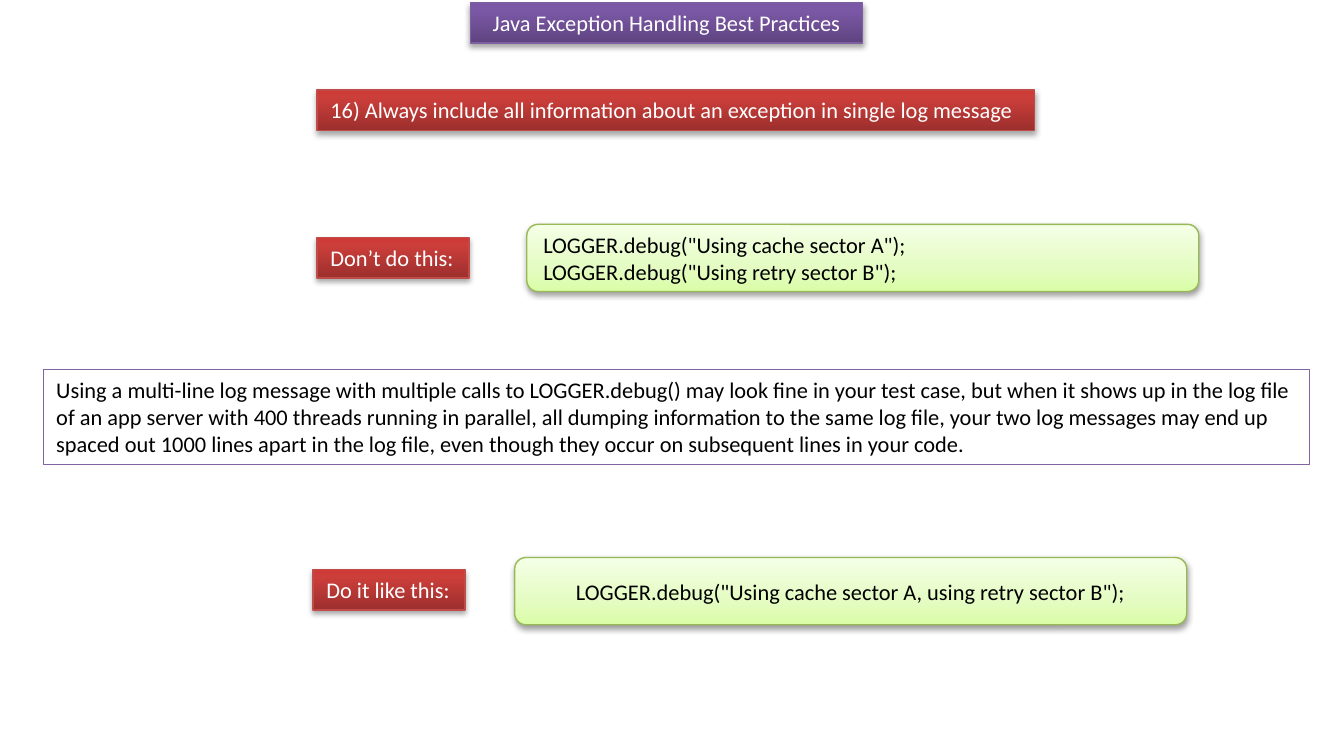
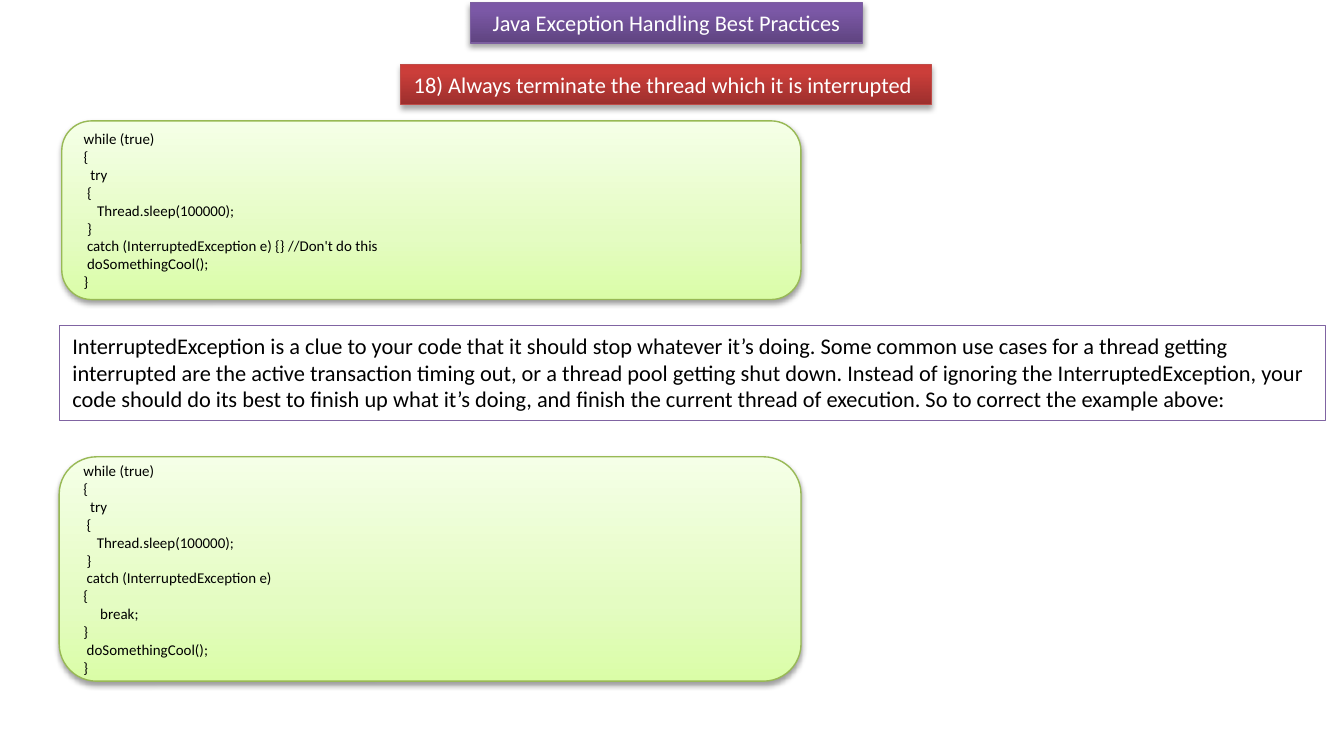
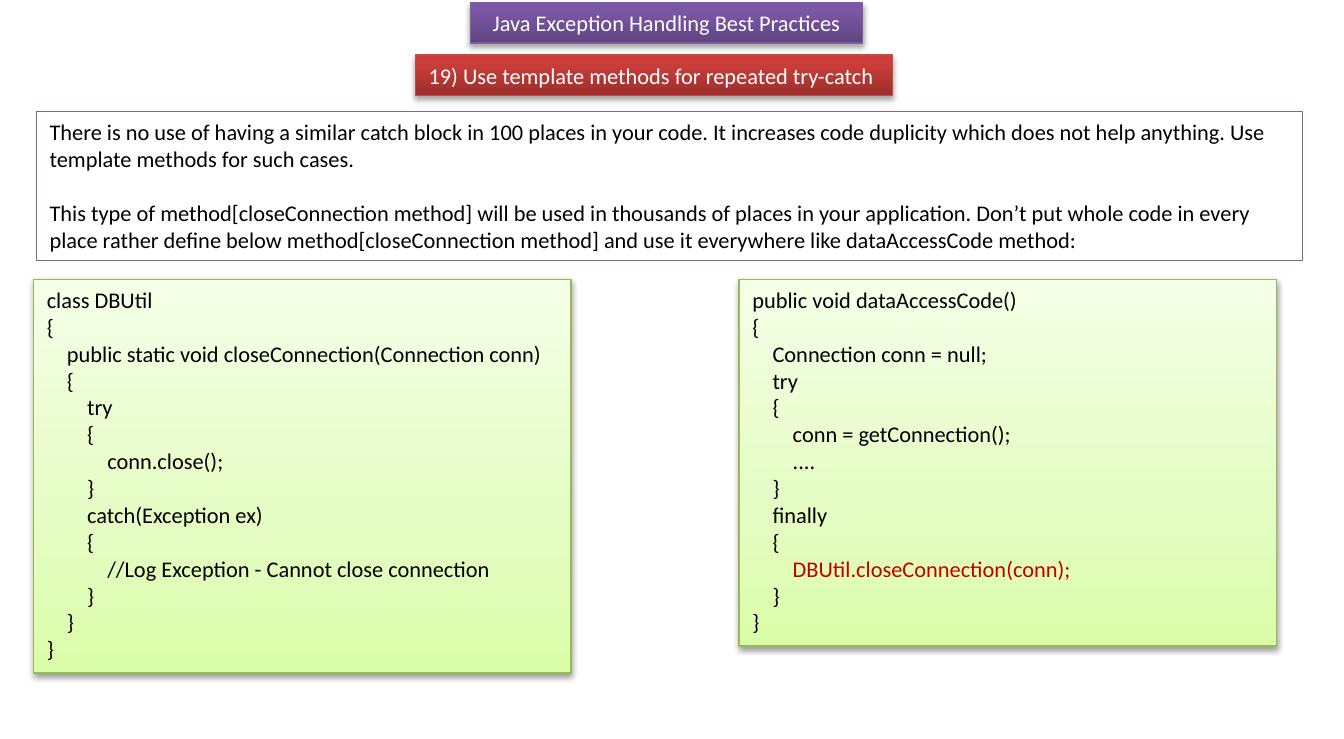
from dataclasses import dataclass

from lxml.etree import SubElement as Sub
from pptx import Presentation
from pptx.dml.color import RGBColor as Rgb
from pptx.enum.shapes import MSO_SHAPE as Kind
from pptx.enum.text import MSO_ANCHOR as Anchor, MSO_AUTO_SIZE as Auto, PP_ALIGN as Align
from pptx.oxml.ns import qn
from pptx.slide import Slide
from pptx.util import Inches, Pt

# Shared look
HUES = {
    "white": "FFFFFF", "black": "000000", "hot": "C00000",
    "title rim": "7D60A0", "rule rim": "BF4C48", "code rim": "98B955", "note rim": "8064A2",
}
FADES = {
    "title": [(0, "5F4480"), (80, "7B58A6"), (100, "7C57A8")],
    "rule": [(0, "9C2F2D"), (80, "CB3E3A"), (100, "CE3B37")],
    "code": [(0, "DAFDA7"), (35, "E4FCC2"), (100, "F5FFE7")],
}
FACE = "Calibri"
BAR = 0.3
NOTE = 9.42


@dataclass
class Look:
    name: str
    ink: str
    shade: int = 0
    drop: float = 0
    align: Align = Align.LEFT
    wrap: bool = True


TITLE = Look("title", "white", 35, 1.8, Align.CENTER)
RULE = Look("rule", "white", 35, 1.8, wrap=False)
CODE = Look("code", "black", 38, 1.6)
PLAIN = Look("note", "black")


@dataclass
class Box:
    look: Look
    left: float
    top: float
    width: float
    height: float
    text: str
    size: int = 12
    rim: float = 0.75
    round: bool = False
    align: Align | None = None
    gap: float = 0
    hot: str = ""


def label(left: float, top: float, width: float, text: str) -> Box:
    return Box(RULE, left, top, width, BAR, text)


def note(left: float, top: float, height: float, text: str, rim: float = 0.25, gap: float = 0) -> Box:
    return Box(PLAIN, left, top, NOTE, height, text, rim=rim, gap=gap)


HEAD = Box(TITLE, 3.5, 0.02, 2.92, BAR, "Java Exception Handling Best Practices")

# Code samples
SPLIT = """LOGGER.debug("Using cache sector A");
LOGGER.debug("Using retry sector B");"""
JOINED = 'LOGGER.debug("Using cache sector A, using retry sector B");'

LOOP = """while (true)
{
  try
 {
    Thread.sleep(100000);
 }
 catch (InterruptedException e)"""
TAIL = """
 doSomethingCool();
}"""
WRONG = LOOP + " {} //Don't do this" + TAIL
RIGHT = LOOP + """
{
     break;
}""" + TAIL

UTIL = """class DBUtil
{
    public static void closeConnection(Connection conn)
    {
        try
        {
            conn.close();
        }
        catch(Exception ex)
        {
            //Log Exception - Cannot close connection
        }
    }
}"""
CALL = "DBUtil.closeConnection(conn);"
ACCESS = f"""public void dataAccessCode()
{{
    Connection conn = null;
    try
    {{
        conn = getConnection();
        ....
    }}
    finally
    {{
        {CALL}
    }}
}}"""

# Slides, each drawn from back to front
LOGS = [
    label(2.36, 0.67, 5.34, "16) Always include all information about an exception in single log message"),
    note(0.32, 2.75, 0.71,
         "Using a multi-line log message with multiple calls to LOGGER.debug() may look fine in your "
         "test case, but when it shows up in the log file of an app server with 400 threads running in "
         "parallel, all dumping information to the same log file, your two log messages may end up "
         "spaced out 1000 lines apart in the log file, even though they occur on subsequent lines in "
         "your code.", rim=0.5),
    Box(CODE, 3.83, 4.15, 5, 0.5, JOINED, round=True, align=Align.CENTER),
    label(2.33, 4.24, 1.13, "Do it like this:"),
    Box(CODE, 3.92, 1.67, 5, 0.5, SPLIT, round=True),
    label(2.36, 1.77, 1.13, "Don’t do this:"),
]
THREADS = [
    label(2.98, 0.48, 3.95, "18) Always terminate the thread which it is interrupted"),
    note(0.44, 2.42, 0.71,
         "InterruptedException is a clue to your code that it should stop whatever it’s doing. Some "
         "common use cases for a thread getting interrupted are the active transaction timing out, or "
         "a thread pool getting shut down. Instead of ignoring the InterruptedException, your code "
         "should do its best to finish up what it’s doing, and finish the current thread of execution. "
         "So to correct the example above:"),
    Box(CODE, 0.46, 0.9, 5.5, 1.33, WRONG, 8, round=True),
    Box(CODE, 0.44, 3.4, 5.52, 1.67, RIGHT, 8, round=True),
]
METHODS = [
    label(3.09, 0.41, 3.55, "19) Use template methods for repeated try-catch"),
    note(0.27, 0.83, 1.11,
         "There is no use of having a similar catch block in 100 places in your code. It increases "
         "code duplicity which does not help anything. Use template methods for such cases.\n"
         "This type of method[closeConnection method] will be used in thousands of places in your "
         "application. Don’t put whole code in every place rather define below "
         "method[closeConnection method] and use it everywhere like dataAccessCode method:", gap=14.6),
    Box(CODE, 0.25, 2.08, 4, 2.93, UTIL),
    Box(CODE, 5.5, 2.08, 4, 2.73, ACCESS, hot=CALL),
]


def hue(name: str) -> Rgb:
    return Rgb.from_string(HUES[name])


def paint(shape, look: Look) -> None:
    """Fill with a fade and cast a soft shadow, or fill plain white."""
    shape.shadow.inherit = False
    if look.name not in FADES:
        shape.fill.solid()
        shape.fill.fore_color.rgb = hue("white")
        return
    shape.fill.gradient()
    shape.fill.gradient_angle = 90
    props = shape._element.spPr
    stops = props.find(".//" + qn("a:gsLst"))
    for old in list(stops):
        stops.remove(old)
    for pos, code in FADES[look.name]:
        stop = Sub(stops, qn("a:gs"), pos=str(pos * 1000))
        Sub(stop, qn("a:srgbClr"), val=code)
    cast = Sub(props.find(qn("a:effectLst")), qn("a:outerShdw"), blurRad=str(Pt(3.1)),
               dist=str(Pt(look.drop)), dir="5400000", rotWithShape="0")
    tint = Sub(cast, qn("a:srgbClr"), val=HUES["black"])
    Sub(tint, qn("a:alpha"), val=str(look.shade * 1000))


def write(frame, box: Box) -> None:
    """Put each line of text in its own paragraph."""
    form = {
        "word_wrap": box.look.wrap,
        "auto_size": Auto.NONE if box.round else Auto.SHAPE_TO_FIT_TEXT,
        "vertical_anchor": Anchor.MIDDLE if box.round else Anchor.TOP,
    }
    for key, value in form.items():
        setattr(frame, key, value)
    for i, line in enumerate(box.text.split("\n")):
        para = frame.add_paragraph() if i else frame.paragraphs[0]
        para.alignment = box.align or box.look.align
        if i and box.gap:
            para.space_before = Pt(box.gap)
        run = para.add_run()
        run.text = line
        for key, value in {"name": FACE, "size": Pt(box.size)}.items():
            setattr(run.font, key, value)
        is_hot = box.hot and line.strip() == box.hot
        run.font.color.rgb = hue("hot" if is_hot else box.look.ink)


def draw(slide: Slide, box: Box) -> None:
    kind = Kind.ROUNDED_RECTANGLE if box.round else Kind.RECTANGLE
    place = map(Inches, (box.left, box.top, box.width, box.height))
    shape = slide.shapes.add_shape(kind, *place)
    paint(shape, box.look)
    shape.line.color.rgb = hue(box.look.name + " rim")
    shape.line.width = Pt(box.rim)
    write(shape.text_frame, box)


def main() -> None:
    deck = Presentation()
    deck.slide_width, deck.slide_height = Inches(10), Inches(5.5)
    for page in (LOGS, THREADS, METHODS):
        slide = deck.slides.add_slide(deck.slide_layouts[6])
        for box in (HEAD, *page):
            draw(slide, box)
    deck.save("out.pptx")


if __name__ == "__main__":
    main()
